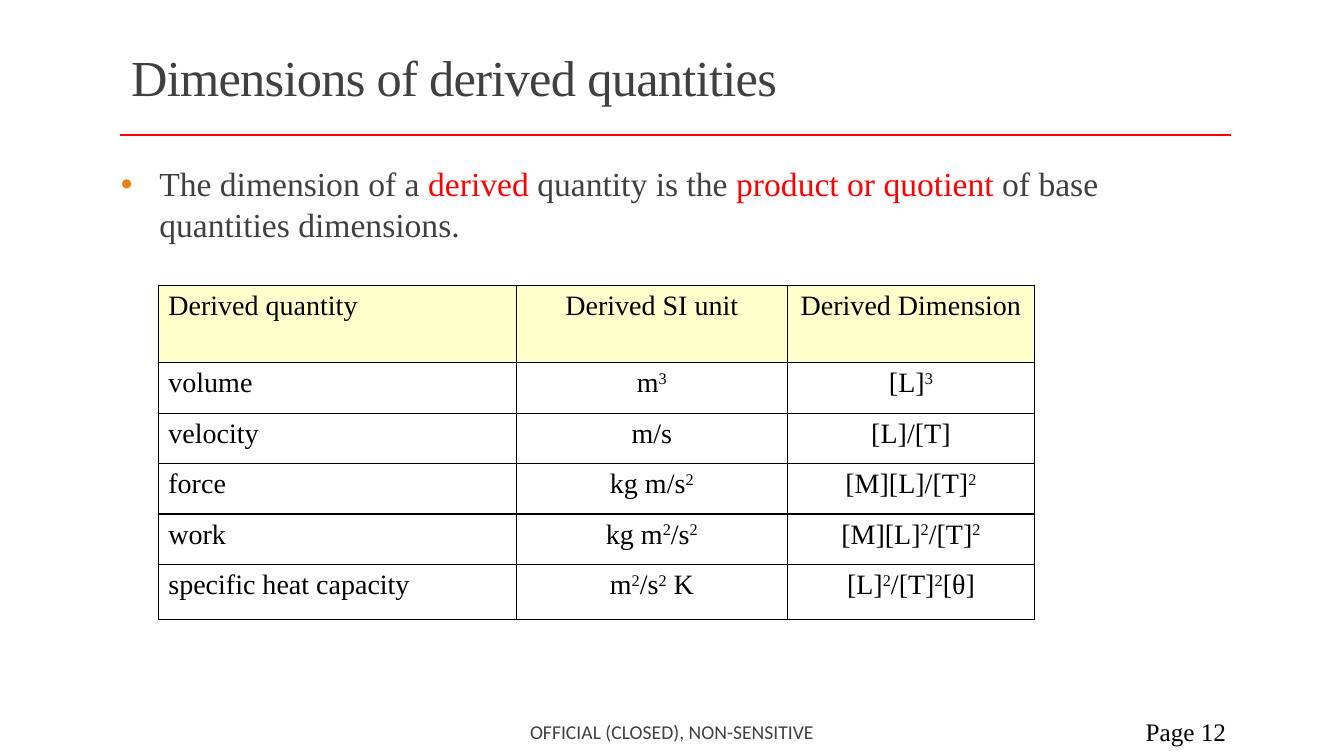
from lxml import etree
from pptx import Presentation, util as u
from pptx.dml.color import RGBColor
from pptx.enum import shapes, text
from pptx.oxml.ns import qn

PX = 9144  # EMU per px, 100 px to the inch
SERIF = "Times New Roman"
RED, GREY, BLACK = "FF0000", "404040", "000000"
LEFT, CENTER, RIGHT = text.PP_ALIGN.LEFT, text.PP_ALIGN.CENTER, text.PP_ALIGN.RIGHT

COLUMNS = [355, 269, 245]
ROWS = [77, 50, 50, 50, 50, 55]
# Every second piece between carets is superscript
QUANTITIES = [
    ("Derived quantity", "Derived SI unit", "Derived Dimension"),
    ("volume", "m^3", "[L]^3"),
    ("velocity", "m/s", "[L]/[T]"),
    ("force", "kg m/s^2", "[M][L]/[T]^2"),
    ("work", "kg m^2^/s^2", "[M][L]^2^/[T]^2"),
    ("specific heat capacity", "m^2^/s^2^ K", "[L]^2^/[T]^2^[θ]"),
]


def px(*lengths):
    return [u.Emu(length * PX) for length in lengths]


def rgb(color):
    return RGBColor.from_string(color)


def style(paragraph, size, color, align=LEFT, font=SERIF):
    paragraph.alignment = align
    paragraph.font.size = u.Pt(size)
    paragraph.font.name = font
    paragraph.font.color.rgb = rgb(color)


def place(shape, *box):
    shape.left, shape.top, shape.width, shape.height = px(*box)


def add_title(slide, wording):
    title = slide.shapes.title
    place(title, 120, 31, 1100, 98)
    frame = title.text_frame
    frame.auto_size = text.MSO_AUTO_SIZE.NONE
    frame.vertical_anchor = text.MSO_ANCHOR.MIDDLE
    heading = frame.paragraphs[0]
    run = heading.add_run()
    run.text = wording
    run._r.get_or_add_rPr().set("spc", "-50")
    heading.line_spacing = 0.85
    style(heading, 36, GREY)


def add_rule(slide, x1, x2, y):
    rule = slide.shapes.add_connector(shapes.MSO_CONNECTOR.STRAIGHT, *px(x1, y, x2, y))
    rule.line.color.rgb = rgb(RED)
    rule.line.width = u.Pt(2)
    etree.SubElement(rule._element.spPr, qn("a:effectLst"))


def add_bullet(slide, pieces):
    body = slide.placeholders[1]
    place(body, 120, 157, 1102, 512)
    frame = body.text_frame
    frame.auto_size = text.MSO_AUTO_SIZE.NONE
    frame.margin_left = frame.margin_right = 0
    statement = frame.paragraphs[0]
    statement.space_before, statement.space_after = u.Pt(0), u.Pt(6)
    # Orange bullet with a hanging indent
    props = statement._p.get_or_add_pPr()
    indent = 38 * PX
    props.set("marL", str(indent))
    props.set("indent", str(-indent))
    bullet_color = etree.SubElement(props, qn("a:buClr"))
    etree.SubElement(bullet_color, qn("a:srgbClr"), val="E48312")
    etree.SubElement(props, qn("a:buChar"), char="•")
    for wording, color in pieces:
        run = statement.add_run()
        run.text = wording
        run.font.color.rgb = rgb(color)
    style(statement, 24, GREY)


def add_borders(cell):
    props = cell._tc.get_or_add_tcPr()
    for side in ("lnL", "lnR", "lnT", "lnB"):
        line = etree.SubElement(props, qn(f"a:{side}"), w=str(u.Pt(1)))
        fill = etree.SubElement(line, qn("a:solidFill"))
        etree.SubElement(fill, qn("a:srgbClr"), val=BLACK)


def fill_cell(cell, wording, fill, align):
    add_borders(cell)
    cell.fill.solid()
    cell.fill.fore_color.rgb = rgb(fill)
    entry = cell.text_frame.paragraphs[0]
    for i, piece in enumerate(wording.split("^")):
        if piece:
            run = entry.add_run()
            run.text = piece
            if i % 2:
                run._r.get_or_add_rPr().set("baseline", "30000")
    style(entry, 20, BLACK, align)


def add_quantities(slide, left, top):
    box = px(left, top, sum(COLUMNS), sum(ROWS))
    table = slide.shapes.add_table(len(ROWS), len(COLUMNS), *box).table
    table.first_row = table.horz_banding = False
    for column, width in zip(table.columns, px(*COLUMNS)):
        column.width = width
    for row, height in zip(table.rows, px(*ROWS)):
        row.height = height
    for r, entries in enumerate(QUANTITIES):
        for c, wording in enumerate(entries):
            fill = "FFFFFF" if r else "FFFFCC"
            fill_cell(table.cell(r, c), wording, fill, CENTER if c else LEFT)


def add_footer(slide, box, wording, **look):
    frame = slide.shapes.add_textbox(*px(*box)).text_frame
    frame.word_wrap = True
    frame.vertical_anchor = text.MSO_ANCHOR.MIDDLE
    note = frame.paragraphs[0]
    note.text = wording
    style(note, **look)


def main():
    deck = Presentation()
    deck.slide_width, deck.slide_height = px(1333, 750)
    slide = deck.slides.add_slide(deck.slide_layouts[1])

    # Heading
    add_rule(slide, 119, 1221, 134)
    add_title(slide, "Dimensions of derived quantities")

    # Statement and table
    add_bullet(slide, [
        ("The dimension of a ", GREY),
        ("derived", RED),
        (" quantity is the ", GREY),
        ("product or quotient ", RED),
        ("of base quantities dimensions.", GREY),
    ])
    add_quantities(slide, 157, 283)

    # Footer
    add_footer(slide, (1083, 706, 143, 40), "Page 12",
               size=18, color=BLACK, align=RIGHT)
    add_footer(slide, (403, 706, 527, 40), "OFFICIAL (CLOSED), NON-SENSITIVE",
               size=14, color=GREY, align=CENTER, font="Calibri")

    deck.save("out.pptx")


if __name__ == "__main__":
    main()
